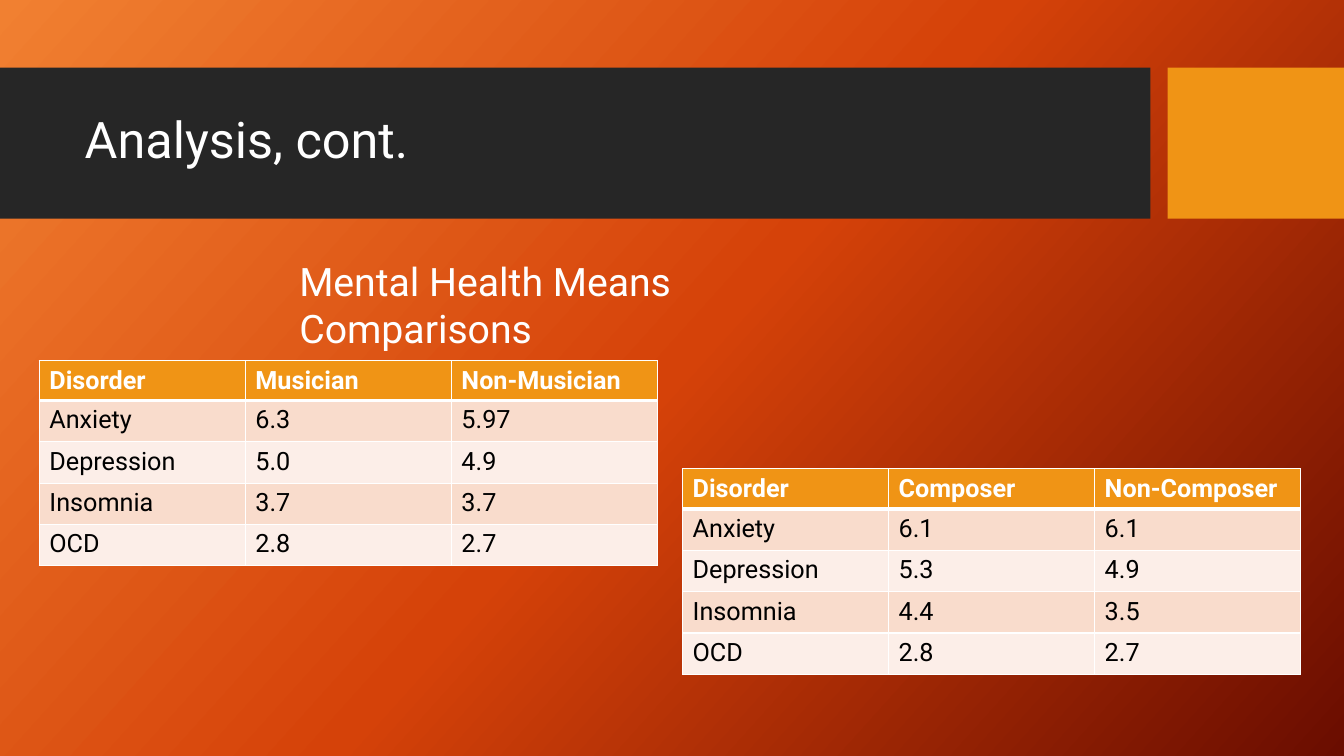
import copy

import pptx
import pptx.dml.color
import pptx.enum.shapes
import pptx.enum.text
import pptx.oxml
import pptx.oxml.ns
import pptx.util
from pptx.util import Inches

FONT = "Roboto"
COLORS = {
    "white": "FFFFFF",
    "black": "000000",
    "band": "262626",
    "accent": "F09415",
    "odd_row": "F9DCCC",
    "even_row": "FCEEE8",
}
GRADIENT = [(0, "F18031"), (0.5, "D54209"), (1, "6A0D00")]
MUSICIANS = [
    ("Disorder", "Musician", "Non-Musician"),
    ("Anxiety", "6.3", "5.97"),
    ("Depression", "5.0", "4.9"),
    ("Insomnia", "3.7", "3.7"),
    ("OCD", "2.8", "2.7"),
]
COMPOSERS = [
    ("Disorder", "Composer", "Non-Composer"),
    ("Anxiety", "6.1", "6.1"),
    ("Depression", "5.3", "4.9"),
    ("Insomnia", "4.4", "3.5"),
    ("OCD", "2.8", "2.7"),
]


def rgb(name):
    return pptx.dml.color.RGBColor.from_string(COLORS.get(name, name))


def paint(fill, color):
    fill.solid()
    fill.fore_color.rgb = rgb(color)


def write(tf, text, size, color="white", bold=False):
    p = tf.paragraphs[0]
    p.alignment = pptx.enum.text.PP_ALIGN.LEFT
    r = p.add_run()
    r.text = text
    font_values = {"name": FONT, "size": pptx.util.Pt(size), "bold": bold}
    for key, value in font_values.items():
        setattr(r.font, key, value)
    r.font.color.rgb = rgb(color)
    return p


def set_background(s):
    fill = s.background.fill
    fill.gradient()
    fill.gradient_angle = 360 - 42
    stops = s.element.find(".//" + pptx.oxml.ns.qn("a:gsLst"))
    stops.insert(1, copy.deepcopy(stops[0]))
    for stop, (position, color) in zip(fill.gradient_stops, GRADIENT):
        stop.position = position
        stop.color.rgb = rgb(color)


def add_block(s, left, width, color):
    sp = s.shapes.add_shape(pptx.enum.shapes.MSO_SHAPE.RECTANGLE,
                            Inches(left), Inches(0.67), Inches(width), Inches(1.5))
    sp.shadow.inherit = False
    paint(sp.fill, color)
    sp.line.fill.background()


def add_title(s, text):
    title = s.shapes.title
    s.shapes.element.append(title.element)  # in front of the band
    box = {"left": 0.74, "top": 0.82, "width": 10.51, "height": 1.18}
    for key, value in box.items():
        setattr(title, key, Inches(value))
    title.text_frame.vertical_anchor = pptx.enum.text.MSO_ANCHOR.MIDDLE
    write(title.text_frame, text, 36).line_spacing = 0.9


def add_heading(s, text):
    tf = s.shapes.add_textbox(Inches(2.87), Inches(2.5), Inches(6.25), Inches(0.57)).text_frame
    tf.word_wrap = True
    write(tf, text, 28)


def set_borders(cell, widths):
    """Draw white borders; widths maps the sides L, R, T and B to points."""
    tc_pr = cell._tc.get_or_add_tcPr()
    for side, width in widths.items():
        tc_pr.append(pptx.oxml.parse_xml(
            f'<a:ln{side} {pptx.oxml.ns.nsdecls("a")} w="{pptx.util.Pt(width)}">'
            f'<a:solidFill><a:srgbClr val="{COLORS["white"]}"/></a:solidFill></a:ln{side}>'))


def add_means_table(s, left, top, rows):
    table = s.shapes.add_table(len(rows), len(rows[0]), Inches(left), Inches(top),
                               Inches(6.13), Inches(2.02)).table
    for column in table.columns:
        column.width = Inches(6.13 / len(rows[0]))
    for i, values in enumerate(rows):
        header = i == 0
        table.rows[i].height = Inches(0.39 if header else 0.41)
        fill = "accent" if header else "odd_row" if i % 2 else "even_row"
        for j, value in enumerate(values):
            cell = table.cell(i, j)
            set_borders(cell, {"L": 1, "R": 1, "T": 3 if i == 1 else 1, "B": 3 if header else 1})
            paint(cell.fill, fill)
            write(cell.text_frame, value, 18, "white" if header else "black", header)


def main():
    prs = pptx.Presentation()
    prs.slide_width, prs.slide_height = Inches(13.33), Inches(7.5)
    s = prs.slides.add_slide(prs.slide_layouts.get_by_name("Title Only"))
    set_background(s)
    add_block(s, 0, 11.41, "band")
    add_block(s, 11.58, 1.75, "accent")
    add_title(s, "Analysis, cont.")
    add_means_table(s, 0.39, 3.58, MUSICIANS)
    add_heading(s, "Mental Health Means Comparisons")
    add_means_table(s, 6.77, 4.65, COMPOSERS)
    prs.save("out.pptx")


if __name__ == "__main__":
    main()
